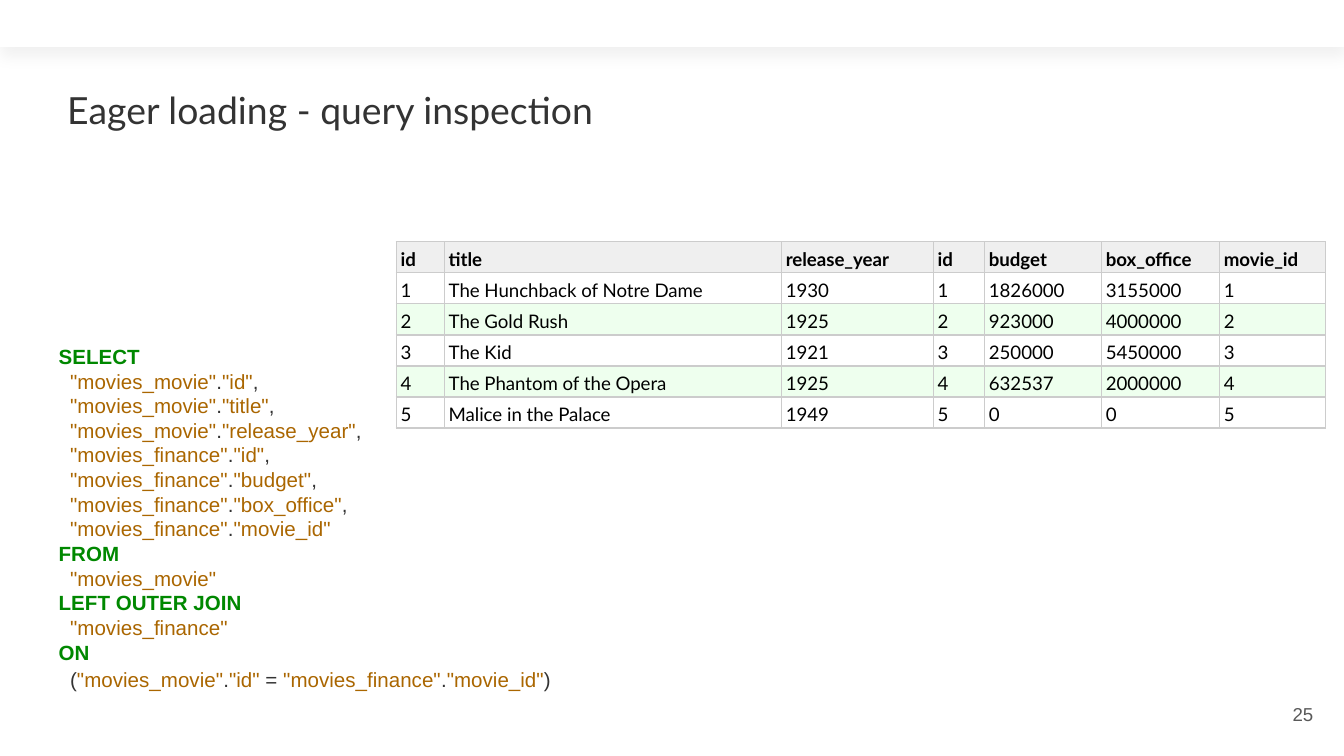
from dataclasses import dataclass
from lxml import etree
from pptx import Presentation
from pptx import util as u
from pptx.dml.color import RGBColor
from pptx.enum import shapes, text
from pptx.oxml import ns


@dataclass(frozen=True)
class Theme:
    white: str = "FFFFFF"
    black: str = "000000"
    ink: str = "333333"
    grey: str = "595959"
    key: str = "008800"
    quote: str = "AA6600"
    head: str = "EFEFEF"
    band: str = "EEFFEE"
    rule: str = "CCCCCC"
    sans: str = "Lato"
    code: str = "Arial"
    big: float = 20
    mid: float = 11
    small: float = 10


theme = Theme()


def style(font, name, size, color, bold=False):
    vals = {"name": name, "size": u.Pt(size), "bold": bold}
    for key, val in vals.items():
        setattr(font, key, val)
    font.color.rgb = RGBColor.from_string(color)


def place(box, spot, pads, anchor):
    for key, val in zip(("left", "top", "width", "height"), spot):
        setattr(box, key, u.Cm(val))
    frame = box.text_frame
    vals = {
        "margin_left": u.Cm(pads[0]), "margin_right": u.Cm(pads[0]),
        "margin_top": u.Cm(pads[1]), "margin_bottom": u.Cm(pads[1]),
        "word_wrap": True, "vertical_anchor": anchor,
        "auto_size": text.MSO_AUTO_SIZE.NONE,
    }
    for key, val in vals.items():
        setattr(frame, key, val)
    return frame


deck = Presentation()
deck.slide_width, deck.slide_height = u.Cm(25.4), u.Cm(14.29)
slide = deck.slides.add_slide(deck.slide_layouts[5])
top, mid = text.MSO_ANCHOR.TOP, text.MSO_ANCHOR.MIDDLE

bar = slide.shapes.add_shape(
    shapes.MSO_SHAPE.RECTANGLE, u.Cm(0), u.Cm(-0.1), u.Cm(25.4), u.Cm(0.99))
bar.fill.solid()
bar.fill.fore_color.rgb = RGBColor.from_string(theme.white)
bar.line.fill.background()
bar.shadow.inherit = False
glow = etree.SubElement(
    bar.element.spPr.find(ns.qn("a:effectLst")), ns.qn("a:outerShdw"),
    blurRad=str(u.Pt(7.9)), dist=str(u.Pt(3.8)), dir=str(92 * 60000),
    algn="bl", rotWithShape="0")
tint = etree.SubElement(glow, ns.qn("a:srgbClr"), val=theme.black)
etree.SubElement(tint, ns.qn("a:alpha"), val="5000")

frame = place(slide.shapes.title, (1.02, 1.52, 11.43, 1.17), (0.25, 0.13), top)
frame.text = "Eager loading - query inspection"
line = frame.paragraphs[0]
line.alignment = text.PP_ALIGN.LEFT
style(line.font, theme.sans, theme.big, theme.ink)

query = '''SELECT
  "movies_movie"."id",
  "movies_movie"."title",
  "movies_movie"."release_year",
  "movies_finance"."id",
  "movies_finance"."budget",
  "movies_finance"."box_office",
  "movies_finance"."movie_id"
FROM
  "movies_movie"
LEFT OUTER JOIN
  "movies_finance"
ON
  ("movies_movie"."id" = "movies_finance"."movie_id")'''.split("\n")

box = slide.shapes.add_textbox(0, 0, 0, 0)
frame = place(box, (0.86, 6.25, 10.97, 7.09), (0.25, 0.25), top)
for i, row in enumerate(query):
    line = frame.add_paragraph() if i else frame.paragraphs[0]
    line.line_spacing = u.Pt(14.6 if row == query[-1] else 13.2)
    bold = not row.startswith(" ")
    for j, part in enumerate(row.split('"')):
        if not part:
            continue
        run = line.add_run()
        run.text = f'"{part}"' if j % 2 else part
        color = theme.quote if j % 2 else theme.key if bold else theme.ink
        style(run.font, theme.code, theme.mid, color, bold)

box = slide.shapes.add_textbox(0, 0, 0, 0)
frame = place(box, (23.55, 12.95, 1.52, 1.09), (0.25, 0.25), mid)
frame.text = "25"
line = frame.paragraphs[0]
line.alignment = text.PP_ALIGN.RIGHT
style(line.font, theme.code, theme.small, theme.grey)

films = [
    ("id", "title", "release_year", "id", "budget", "box_office", "movie_id"),
    ("1", "The Hunchback of Notre Dame", "1930", "1", "1826000", "3155000", "1"),
    ("2", "The Gold Rush", "1925", "2", "923000", "4000000", "2"),
    ("3", "The Kid", "1921", "3", "250000", "5450000", "3"),
    ("4", "The Phantom of the Opera", "1925", "4", "632537", "2000000", "4"),
    ("5", "Malice in the Palace", "1949", "5", "0", "0", "5"),
]
wides = (0.91, 6.37, 2.87, 0.97, 2.21, 2.23, 2)
high = 0.56
grid = slide.shapes.add_table(
    len(films), len(wides), u.Cm(7.49), u.Cm(4.57),
    u.Cm(sum(wides)), u.Cm(high * len(films))).table
grid.first_row = grid.horz_banding = False
for col, wide in zip(grid.columns, wides):
    col.width = u.Cm(wide)
pads = {
    "margin_left": u.Cm(0.08), "margin_right": u.Cm(0.08),
    "margin_top": u.Cm(0.05), "margin_bottom": u.Cm(0.05),
    "vertical_anchor": text.MSO_ANCHOR.BOTTOM,
}
for r, film in enumerate(films):
    grid.rows[r].height = u.Cm(high)
    shade = theme.white if r % 2 else theme.band if r else theme.head
    for c, word in enumerate(film):
        cell = grid.cell(r, c)
        cell.text = word
        for key, val in pads.items():
            setattr(cell, key, val)
        line = cell.text_frame.paragraphs[0]
        line.line_spacing = 1.15
        style(line.runs[0].font, theme.sans, theme.small, theme.black, r == 0)
        props = cell._tc.get_or_add_tcPr()
        for side in "LRTB":
            edge = etree.SubElement(
                props, ns.qn("a:ln" + side), w=str(u.Pt(0.75)))
            fill = etree.SubElement(edge, ns.qn("a:solidFill"))
            etree.SubElement(fill, ns.qn("a:srgbClr"), val=theme.rule)
        cell.fill.solid()
        cell.fill.fore_color.rgb = RGBColor.from_string(shade)

deck.save("out.pptx")
